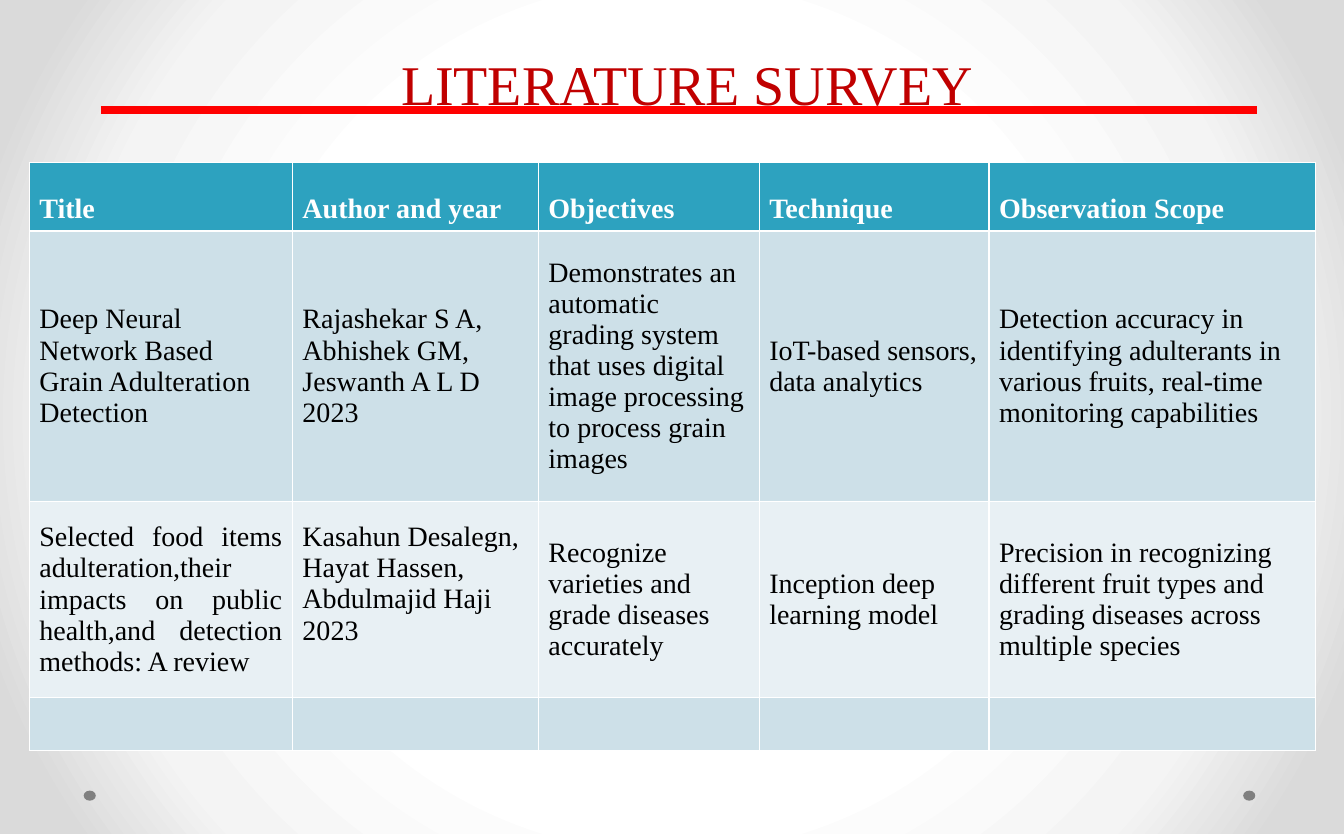
from dataclasses import dataclass

from pptx import Presentation
from pptx.dml.color import RGBColor
from pptx.enum.shapes import MSO_CONNECTOR as Connector, MSO_SHAPE as Shape
from pptx.enum.text import MSO_ANCHOR as Anchor, MSO_AUTO_SIZE as AutoSize, PP_ALIGN as Align
from pptx.oxml import parse_xml
from pptx.oxml.ns import nsdecls
from pptx.util import Pt

TITLE_ONLY = 5


@dataclass(frozen=True)
class Theme:
    font: str = "Times New Roman"
    title_size: int = 40
    table_size: int = 20
    title: str = "C00000"
    rule: str = "FF0000"
    dot: str = "808080"
    header: str = "2DA2BF"
    header_text: str = "FFFFFF"
    text: str = "000000"
    bands: tuple = ("CDE0E8", "E8F0F4")
    border: str = "FFFFFF"
    glow: tuple = ((50, "FFFFFF"), (76, "F4F4F4"), (92, "DADADA"))


@dataclass(frozen=True)
class Box:
    left: int
    top: int
    width: int
    height: int

    def emu(self):
        return px(self.left), px(self.top), px(self.width), px(self.height)


THEME = Theme()
COLUMN_WIDTHS = (261, 244, 219, 228, 324)
ROW_HEIGHTS = (68, 268, 195, 52)
SURVEY = (
    ("Title", "Author and year", "Objectives", "Technique", "Observation Scope"),
    (
        "Deep Neural Network Based Grain Adulteration Detection",
        "Rajashekar S A, Abhishek GM, Jeswanth A L D 2023",
        "Demonstrates an automatic grading system that uses digital image processing "
        "to process grain images",
        "IoT-based sensors, data analytics",
        "Detection accuracy in identifying adulterants in various fruits, "
        "real-time monitoring capabilities",
    ),
    (
        "Selected food items adulteration,their impacts on public health,"
        "and detection methods: A review",
        "Kasahun Desalegn, Hayat Hassen, Abdulmajid Haji 2023",
        "Recognize varieties and grade diseases accurately",
        "Inception deep learning model",
        "Precision in recognizing different fruit types and grading diseases "
        "across multiple species",
    ),
    ("",) * 5,
)


def px(length):
    """Turn px, 100 to the inch, into EMU."""
    return length * 9144


def rgb(color):
    return RGBColor.from_string(color)


def style_font(font, size, color, bold=False):
    font.name = THEME.font
    font.size = Pt(size)
    font.bold = bold
    font.color.rgb = rgb(color)


def paint_background(page):
    """Fill the page with a glow that darkens from its centre."""
    stops = "".join(
        f'<a:gs pos="{place * 1000}"><a:srgbClr val="{color}"/></a:gs>'
        for place, color in THEME.glow
    )
    page.element.cSld.insert(0, parse_xml(
        f'<p:bg {nsdecls("p", "a")}><p:bgPr><a:gradFill rotWithShape="1">'
        f'<a:gsLst>{stops}</a:gsLst><a:path path="circle">'
        '<a:fillToRect l="50000" t="50000" r="50000" b="50000"/></a:path>'
        '</a:gradFill><a:effectLst/></p:bgPr></p:bg>'
    ))


def add_dots(page, box):
    """Put one dot at each end of the box."""
    size = 12
    for left in (box.left, box.left + box.width - size):
        dot = page.shapes.add_shape(Shape.OVAL, *Box(left, box.top, size, box.height).emu())
        dot.shadow.inherit = False
        dot.fill.solid()
        dot.fill.fore_color.rgb = rgb(THEME.dot)
        dot.line.fill.background()


def add_heading(page, box):
    """Place the title, with the red rule along the bottom of the box."""
    title = page.shapes.title
    title.left, title.top, title.width, title.height = Box(
        box.left + 8, box.top, box.width, box.height
    ).emu()
    frame = title.text_frame
    frame.auto_size = AutoSize.NONE
    frame.vertical_anchor = Anchor.TOP
    frame.text = "LITERATURE SURVEY"
    para = frame.paragraphs[0]
    para.alignment = Align.CENTER
    style_font(para.font, THEME.title_size, THEME.title)

    bottom = px(box.top + box.height)
    rule = page.shapes.add_connector(
        Connector.STRAIGHT, px(box.left), bottom, px(box.left + box.width), bottom
    )
    rule.line.color.rgb = rgb(THEME.rule)
    rule.line.width = Pt(6)
    rule._element.spPr.append(parse_xml(f'<a:effectLst {nsdecls("a")}/>'))


def add_borders(cell):
    properties = cell._tc.get_or_add_tcPr()
    for place, side in enumerate("LRTB"):
        properties.insert(place, parse_xml(
            f'<a:ln{side} {nsdecls("a")} w="{Pt(1)}"><a:solidFill>'
            f'<a:srgbClr val="{THEME.border}"/></a:solidFill></a:ln{side}>'
        ))


def fill_cell(cell, text, is_header, fill):
    cell.fill.solid()
    cell.fill.fore_color.rgb = rgb(fill)
    add_borders(cell)
    cell.margin_left = cell.margin_right = px(10)
    cell.margin_top = cell.margin_bottom = px(6)
    cell.vertical_anchor = Anchor.BOTTOM if is_header else Anchor.MIDDLE
    cell.text = text
    color = THEME.header_text if is_header else THEME.text
    style_font(cell.text_frame.paragraphs[0].font, THEME.table_size, color, is_header)


def add_survey_table(page, box):
    frame = page.shapes.add_table(len(ROW_HEIGHTS), len(COLUMN_WIDTHS), *box.emu())
    table = frame.table
    table.horz_banding = False
    for column, width in zip(table.columns, COLUMN_WIDTHS):
        column.width = px(width)
    for index, (row, height, texts) in enumerate(zip(table.rows, ROW_HEIGHTS, SURVEY)):
        row.height = px(height)
        is_header = index == 0
        fill = THEME.header if is_header else THEME.bands[(index - 1) % 2]
        for cell, text in zip(row.cells, texts):
            fill_cell(cell, text, is_header, fill)
    table.cell(2, 0).text_frame.paragraphs[0].alignment = Align.JUSTIFY
    table.cell(2, 1).margin_bottom = px(37)


def build_survey_page(deck):
    page = deck.slides.add_slide(deck.slide_layouts[TITLE_ONLY])
    paint_background(page)
    add_dots(page, Box(83, 784, 1162, 10))
    add_survey_table(page, Box(29, 161, sum(COLUMN_WIDTHS), sum(ROW_HEIGHTS)))
    add_heading(page, Box(100, 44, 1147, 65))


def main():
    deck = Presentation()
    deck.slide_width, deck.slide_height = px(1333), px(827)
    build_survey_page(deck)
    deck.save("out.pptx")


if __name__ == "__main__":
    main()
